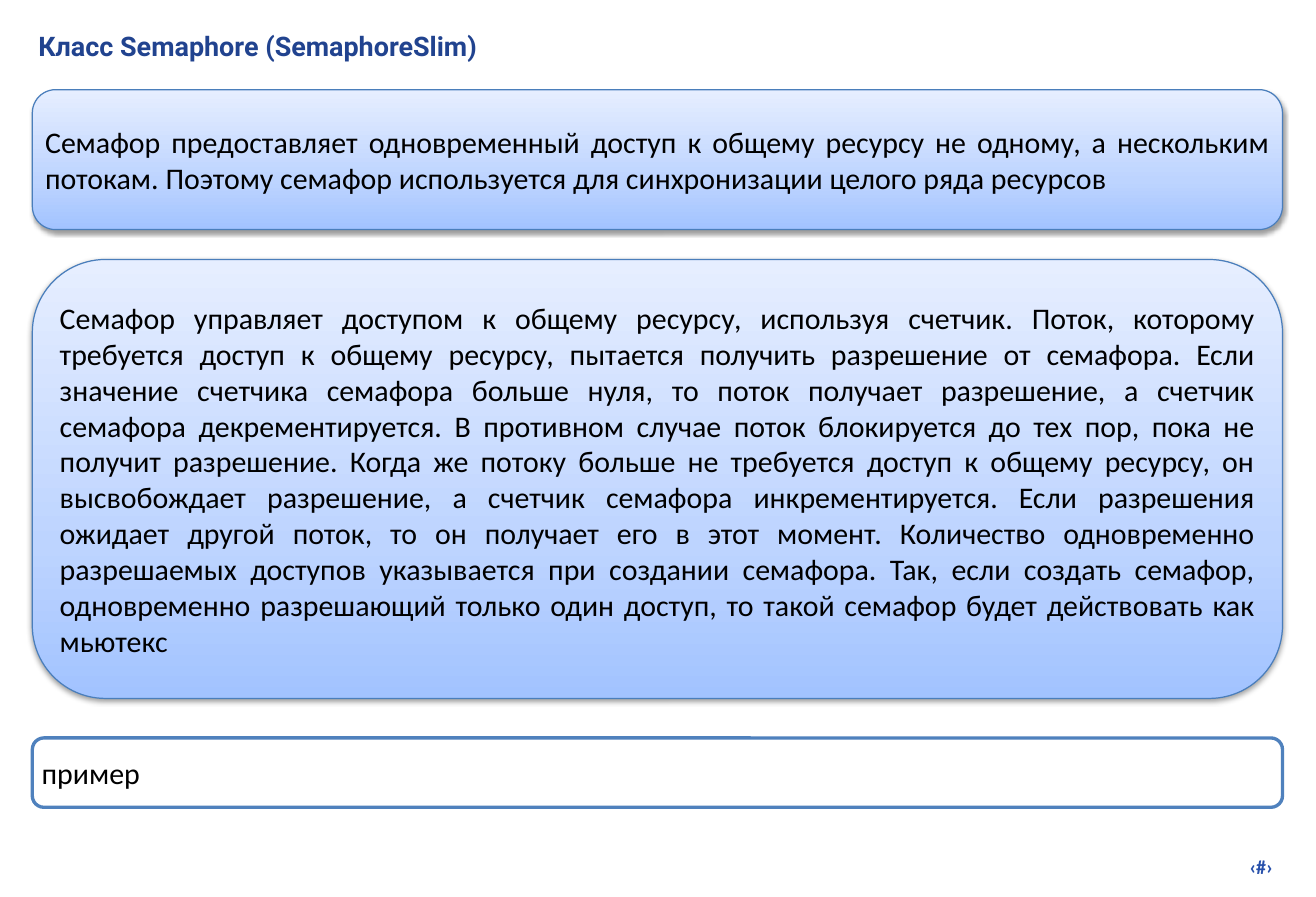
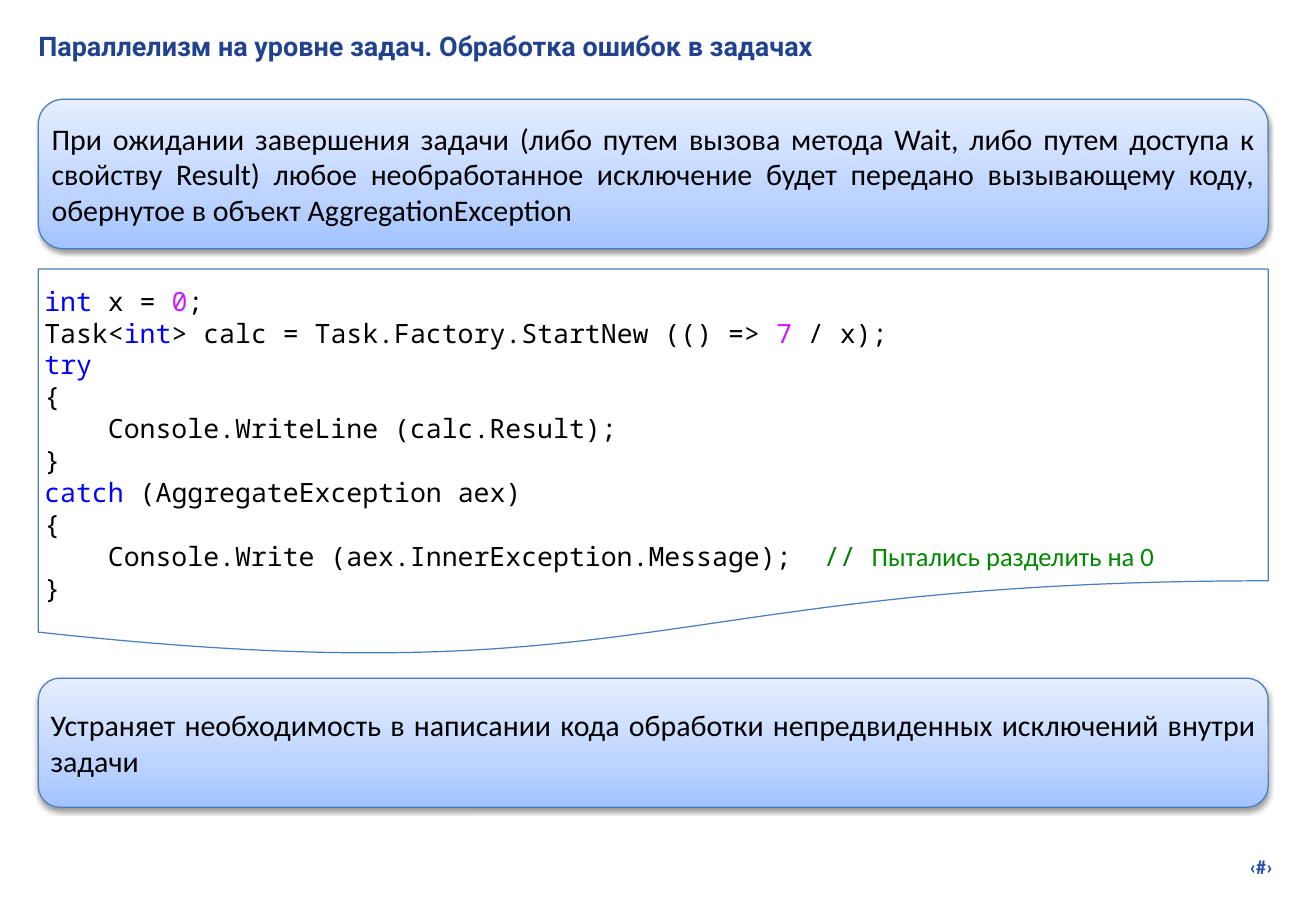
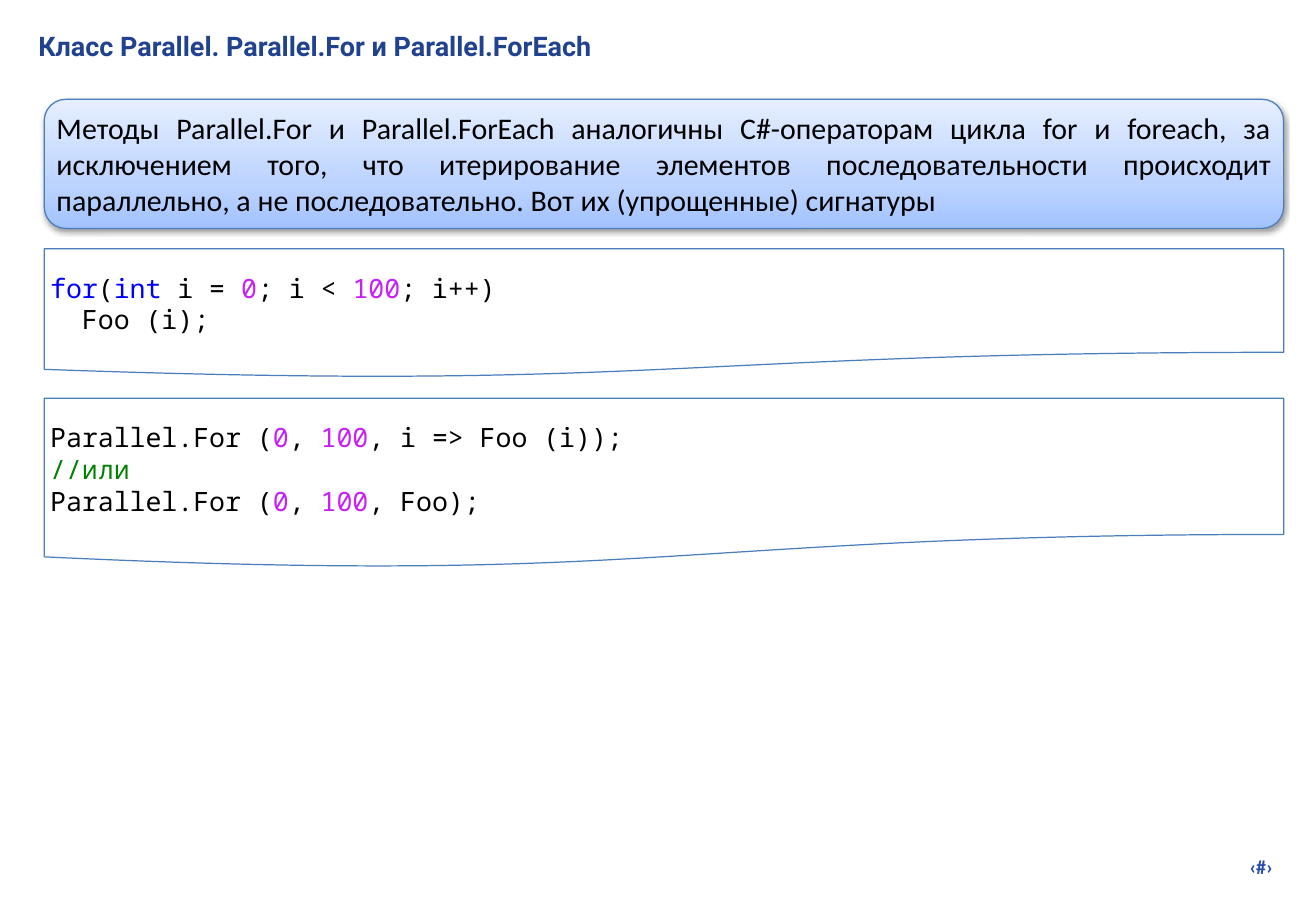
from copy import deepcopy
from dataclasses import dataclass

from lxml.etree import SubElement
from pptx import Presentation
from pptx.dml.color import RGBColor
from pptx.enum.shapes import MSO_SHAPE as Preset
from pptx.enum.text import MSO_ANCHOR as Anchor, PP_ALIGN as Align
from pptx.oxml.ns import qn
from pptx.util import Inches, Pt

COLORS = {
    "title": "21438F",
    "number": "2750AB",
    "outline": "4A7EBB",
    "frame": "4F81BD",
    "white": "FFFFFF",
    "text": "000000",
    "keyword": "0000FF",
    "literal": "C81EFA",
    "comment": "008000",
    "note": "008800",
    "shadow": "000000",
}
PANEL_GRADIENT = ((0, "A2C3FF"), (0.35, "BDD4FF"), (1, "E6EEFF"))
BODY_FONT, CODE_FONT, TITLE_FONT = "Calibri", "Noto Sans Mono", "Roboto"

Token = tuple[str, str]
CodeLine = list[Token]


@dataclass
class Panel:
    """Rounded text box: a shaded panel, or a plain white frame."""
    left: float
    top: float
    width: float
    height: float
    text: str
    shaded: bool = True


@dataclass
class CodeSheet:
    """Sheet with a wavy lower edge; each code line is a list of (text, colour) tokens."""
    left: float
    top: float
    width: float
    height: float
    lines: list[CodeLine]
    top_inset: float = 0.19


@dataclass
class SlideContent:
    title: str
    blocks: list[Panel | CodeSheet]


def plain(text: str) -> CodeLine:
    return [(text, "text")]


def parallel_for(ending: str) -> CodeLine:
    return [("Parallel.For (", "text"), ("0", "literal"), (", ", "text"),
            ("100", "literal"), (ending, "text")]


SLIDES = [
    SlideContent("Класс Semaphore (SemaphoreSlim)", [
        Panel(0.27, 0.75, 10.45, 1.17,
              "Семафор предоставляет одновременный доступ к общему ресурсу не одному, "
              "а нескольким потокам. Поэтому семафор используется для синхронизации "
              "целого ряда ресурсов"),
        Panel(0.27, 2.17, 10.45, 3.67,
              "Семафор управляет доступом к общему ресурсу, используя счетчик. Поток, "
              "которому требуется доступ к общему ресурсу, пытается получить разрешение "
              "от семафора. Если значение счетчика семафора больше нуля, то поток "
              "получает разрешение, а счетчик семафора декрементируется. В противном "
              "случае поток блокируется до тех пор, пока не получит разрешение. Когда же "
              "потоку больше не требуется доступ к общему ресурсу, он высвобождает "
              "разрешение, а счетчик семафора инкрементируется. Если разрешения ожидает "
              "другой поток, то он получает его в этот момент. Количество одновременно "
              "разрешаемых доступов указывается при создании семафора. Так, если создать "
              "семафор, одновременно разрешающий только один доступ, то такой семафор "
              "будет действовать как мьютекс"),
        Panel(0.27, 6.17, 10.45, 0.58, "пример", shaded=False),
    ]),
    SlideContent("Параллелизм на уровне задач. Обработка ошибок в задачах", [
        Panel(0.32, 0.83, 10.28, 1.25,
              "При ожидании завершения задачи (либо путем вызова метода Wait, либо путем "
              "доступа к свойству Result) любое необработанное исключение будет передано "
              "вызывающему коду, обернутое в объект AggregationException"),
        CodeSheet(0.32, 2.25, 10.28, 3.25, [
            [("int", "keyword"), (" x = ", "text"), ("0", "literal"), (";", "text")],
            [("Task<", "text"), ("int", "keyword"),
             ("> calc = Task.Factory.StartNew (() => ", "text"),
             ("7", "literal"), (" / x);", "text")],
            [("try", "keyword")],
            plain("{"),
            plain("    Console.WriteLine (calc.Result);"),
            plain("}"),
            [("catch", "keyword"), (" (AggregateException aex)", "text")],
            plain("{"),
            [("    Console.Write (aex.InnerException.Message);  ", "text"),
             ("// ", "comment"), ("Пытались разделить на 0", "note")],
            plain("}"),
        ], top_inset=0.13),
        Panel(0.32, 5.67, 10.28, 1.08,
              "Устраняет необходимость в написании кода обработки непредвиденных "
              "исключений внутри задачи"),
    ]),
    SlideContent("Класс Parallel. Parallel.For и Parallel.ForEach", [
        Panel(0.37, 0.83, 10.36, 1.08,
              "Методы Parallel.For и Parallel.ForEach аналогичны C#-операторам цикла for "
              "и foreach, за исключением того, что итерирование элементов "
              "последовательности происходит параллельно, а не последовательно. Вот их "
              "(упрощенные) сигнатуры"),
        CodeSheet(0.37, 2.08, 10.36, 1.08, [
            [("for", "keyword"), ("(", "text"), ("int", "keyword"), (" i = ", "text"),
             ("0", "literal"), ("; i < ", "text"), ("100", "literal"), ("; i++)", "text")],
            plain("  Foo (i);"),
        ]),
        CodeSheet(0.37, 3.33, 10.36, 1.42, [
            parallel_for(", i => Foo (i));"),
            [("//или", "comment")],
            parallel_for(", Foo);"),
        ]),
    ]),
]


def rgb(name: str) -> RGBColor:
    return RGBColor.from_string(COLORS[name])


def set_font(font, name: str, size: float, color: str, bold: bool = False) -> None:
    font.name, font.size, font.bold = name, Pt(size), bold
    font.color.rgb = rgb(color)


def set_frame(frame, anchor: Anchor, top_inset: float = 0.05) -> None:
    frame.word_wrap = True
    frame.vertical_anchor = anchor
    frame.margin_left = frame.margin_right = frame.margin_bottom = Inches(0.05)
    frame.margin_top = Inches(top_inset)


def add_outlined_shape(slide, preset: Preset, block: Panel | CodeSheet,
                       line_color: str, line_width: float):
    shape = slide.shapes.add_shape(preset, Inches(block.left), Inches(block.top),
                                   Inches(block.width), Inches(block.height))
    shape.shadow.inherit = False
    shape.fill.solid()
    shape.fill.fore_color.rgb = rgb("white")
    shape.line.color.rgb = rgb(line_color)
    shape.line.width = Pt(line_width)
    return shape


def shade(shape) -> None:
    """Give the shape the vertical blue gradient and a soft shadow below it."""
    shape.fill.gradient()
    shape.fill.gradient_angle = 90
    properties = shape.element.spPr
    stop_list = properties.find(".//" + qn("a:gsLst"))
    stop_list.insert(1, deepcopy(stop_list[0]))
    for stop, (position, color) in zip(shape.fill.gradient_stops, PANEL_GRADIENT):
        stop.position = position
        stop.color.rgb = RGBColor.from_string(color)

    shadow = SubElement(properties.find(qn("a:effectLst")), qn("a:outerShdw"),
                        blurRad=str(Pt(3)), dist=str(Pt(1.6)), dir="5400000",
                        rotWithShape="0")
    color = SubElement(shadow, qn("a:srgbClr"), val=COLORS["shadow"])
    SubElement(color, qn("a:alpha"), val="38000")


def add_panel(slide, panel: Panel) -> None:
    outline = ("outline", 0.75) if panel.shaded else ("frame", 2)
    shape = add_outlined_shape(slide, Preset.ROUNDED_RECTANGLE, panel, *outline)
    if panel.shaded:
        shade(shape)
    set_frame(shape.text_frame, Anchor.MIDDLE)
    paragraph = shape.text_frame.paragraphs[0]
    paragraph.text = panel.text
    paragraph.alignment = Align.JUSTIFY if panel.shaded else Align.LEFT
    set_font(paragraph.font, BODY_FONT, 18, "text")


def add_code_sheet(slide, sheet: CodeSheet) -> None:
    shape = add_outlined_shape(slide, Preset.FLOWCHART_DOCUMENT, sheet, "outline", 0.75)
    frame = shape.text_frame
    set_frame(frame, Anchor.TOP, sheet.top_inset)
    for index, line in enumerate(sheet.lines):
        paragraph = frame.add_paragraph() if index else frame.paragraphs[0]
        paragraph.alignment = Align.LEFT
        for text, color in line:
            run = paragraph.add_run()
            run.text = text
            font_name = BODY_FONT if color == "note" else CODE_FONT
            set_font(run.font, font_name, 16, color)


def set_title(slide, text: str) -> None:
    title = slide.shapes.title
    title.left, title.top = Inches(0.27), Inches(0.2)
    title.width, title.height = Inches(10.5), Inches(0.4)
    set_frame(title.text_frame, Anchor.TOP)
    paragraph = title.text_frame.paragraphs[0]
    paragraph.text = text
    paragraph.alignment = Align.LEFT
    set_font(paragraph.font, TITLE_FONT, 16.2, "title", bold=True)


def add_number_mark(slide) -> None:
    box = slide.shapes.add_textbox(Inches(8.36), Inches(7.1), Inches(2.33), Inches(0.29))
    set_frame(box.text_frame, Anchor.TOP)
    paragraph = box.text_frame.paragraphs[0]
    paragraph.text = "‹#›"
    paragraph.alignment = Align.RIGHT
    set_font(paragraph.font, BODY_FONT, 12, "number", bold=True)


def main() -> None:
    presentation = Presentation()
    presentation.slide_width, presentation.slide_height = Inches(11), Inches(7.5)
    title_only = presentation.slide_layouts[5]
    for content in SLIDES:
        slide = presentation.slides.add_slide(title_only)
        add_number_mark(slide)
        set_title(slide, content.title)
        for block in content.blocks:
            if isinstance(block, Panel):
                add_panel(slide, block)
            else:
                add_code_sheet(slide, block)
    presentation.save("out.pptx")


if __name__ == "__main__":
    main()
